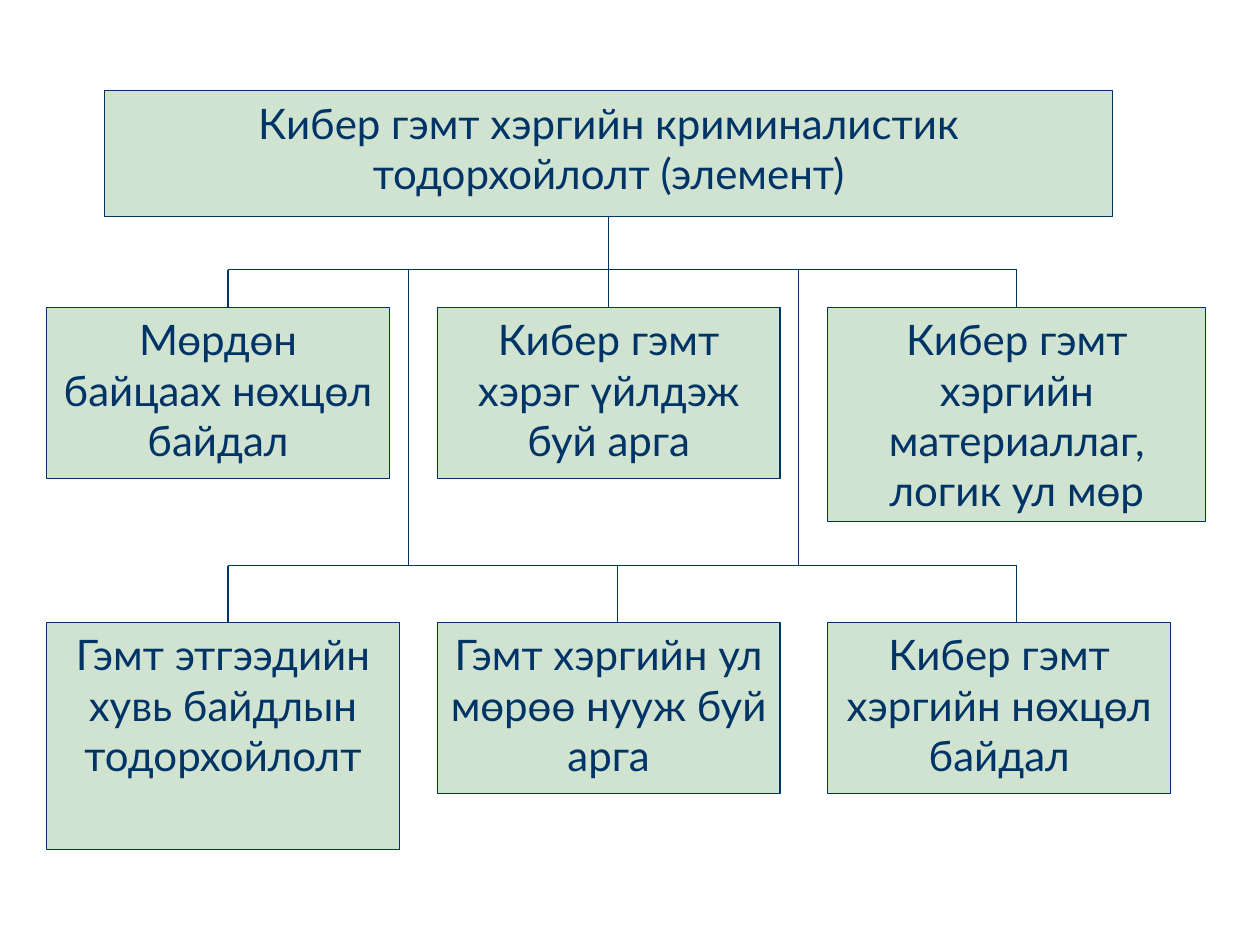
import pptx
import pptx.dml.color
import pptx.enum.shapes
import pptx.enum.text
import pptx.oxml.ns
import pptx.util
from lxml import etree

Inches = pptx.util.Inches
COLORS = {"fill": "D0E3D0", "ink": "003366"}
FONT = {"name": "Lato", "size": pptx.util.Pt(24), "bold": False}
FRAME = {
    "word_wrap": True,
    "auto_size": pptx.enum.text.MSO_AUTO_SIZE.NONE,
    "vertical_anchor": pptx.enum.text.MSO_ANCHOR.TOP,
    "margin_left": Inches(0.09), "margin_right": Inches(0.09),
    "margin_top": Inches(0.05), "margin_bottom": Inches(0.05),
}

# Grid: box columns and rows, and the rail above each row
COLUMNS = [0.37 + 3.1 * column for column in range(3)]
ROWS = [2.44, 4.94]
RAILS = [2.14, 4.49]
GUTTERS = [left - 0.23 for left in COLUMNS[1:]]
BOX_SIZE = (2.72, 1.36)
LEFT_DROP, RIGHT_DROP = 1.81, 8.07
DROPS = [(LEFT_DROP, 4.83, RIGHT_DROP), (LEFT_DROP, 4.9, RIGHT_DROP)]

TITLE = "Кибер гэмт хэргийн криминалистик тодорхойлолт (элемент)"
# Each box: wording and size
BOXES = [
    [("Мөрдөн байцаах нөхцөл байдал", BOX_SIZE),
     ("Кибер гэмт хэрэг үйлдэж буй арга", BOX_SIZE),
     ("Кибер гэмт хэргийн материаллаг, логик ул мөр", (3, 1.7))],
    [("Гэмт этгээдийн хувь байдлын тодорхойлолт", (2.8, 1.8)),
     ("Гэмт хэргийн ул мөрөө нууж буй арга", BOX_SIZE),
     ("Кибер гэмт хэргийн нөхцөл байдал", BOX_SIZE)],
]


def color(name):
    return pptx.dml.color.RGBColor.from_string(COLORS[name])


def apply(target, values):
    for name, value in values.items():
        setattr(target, name, value)


def style_line(line):
    line.color.rgb = color("ink")
    line.width = pptx.util.Pt(0.75)


def format_box(box, text):
    box.fill.solid()
    box.fill.fore_color.rgb = color("fill")
    style_line(box.line)
    apply(box.text_frame, FRAME)
    para = box.text_frame.paragraphs[0]
    para.alignment = pptx.enum.text.PP_ALIGN.CENTER
    span = para.add_run()
    span.text = text
    apply(span.font, FONT)
    span.font.color.rgb = color("ink")


def add_title(page):
    title = page.shapes.title
    apply(title, {"left": Inches(0.83), "top": Inches(0.72),
                  "width": Inches(8), "height": Inches(1)})
    format_box(title, TITLE)
    return title


def add_box(page, left, top, size, text):
    box = page.shapes.add_shape(
        pptx.enum.shapes.MSO_SHAPE.RECTANGLE,
        *(Inches(length) for length in (left, top, *size)))
    box.shadow.inherit = False
    format_box(box, text)
    return box


def add_line(page, x1, y1, x2, y2):
    line = page.shapes.add_connector(
        pptx.enum.shapes.MSO_CONNECTOR.STRAIGHT,
        *(Inches(length) for length in (x1, y1, x2, y2)))
    style_line(line.line)
    properties = line._element.spPr
    etree.SubElement(properties, pptx.oxml.ns.qn("a:effectLst"))
    return line


def main():
    deck = pptx.Presentation()
    deck.slide_width, deck.slide_height = Inches(10), Inches(7.5)
    page = deck.slides.add_slide(deck.slide_layouts[5])

    # Title and the two rows of boxes
    title = add_title(page)
    boxes = [[add_box(page, left, top, size, text)
              for left, (text, size) in zip(COLUMNS, row)]
             for top, row in zip(ROWS, BOXES)]

    # Rails with a drop to each box
    for rail, top, drops in zip(RAILS, ROWS, DROPS):
        add_line(page, LEFT_DROP, rail, RIGHT_DROP, rail)
        for x in drops[::2]:
            drop = add_line(page, x, rail, x, top)
            if top == ROWS[0] and x == RIGHT_DROP:
                drop.end_connect(boxes[0][2], 0)
    add_line(page, DROPS[1][1], RAILS[1], DROPS[1][1], ROWS[1])

    # Trunk from the title, and links between the rails
    trunk = add_line(page, DROPS[0][1], 1.72, DROPS[0][1], ROWS[0])
    trunk.begin_connect(title, 2)
    trunk.end_connect(boxes[0][1], 0)
    for x in GUTTERS:
        add_line(page, x, RAILS[0], x, RAILS[1])

    deck.save("out.pptx")


if __name__ == "__main__":
    main()
